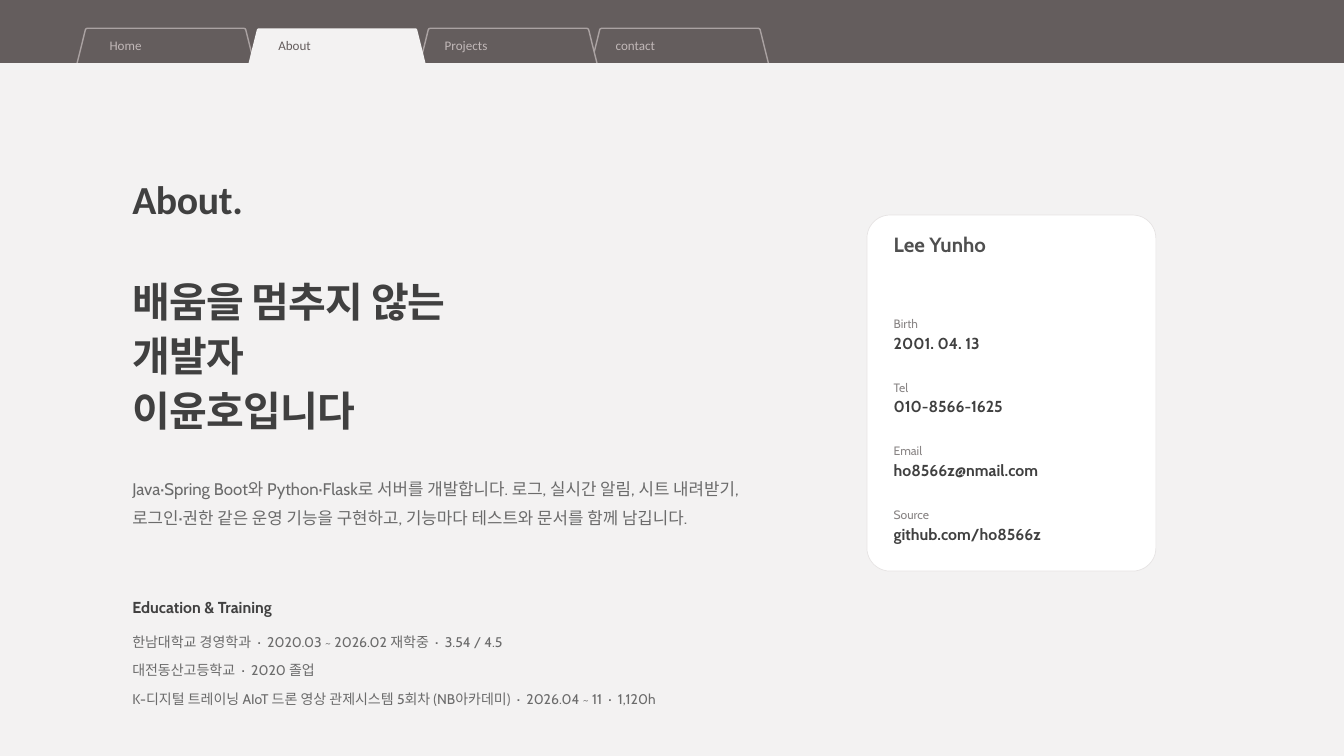
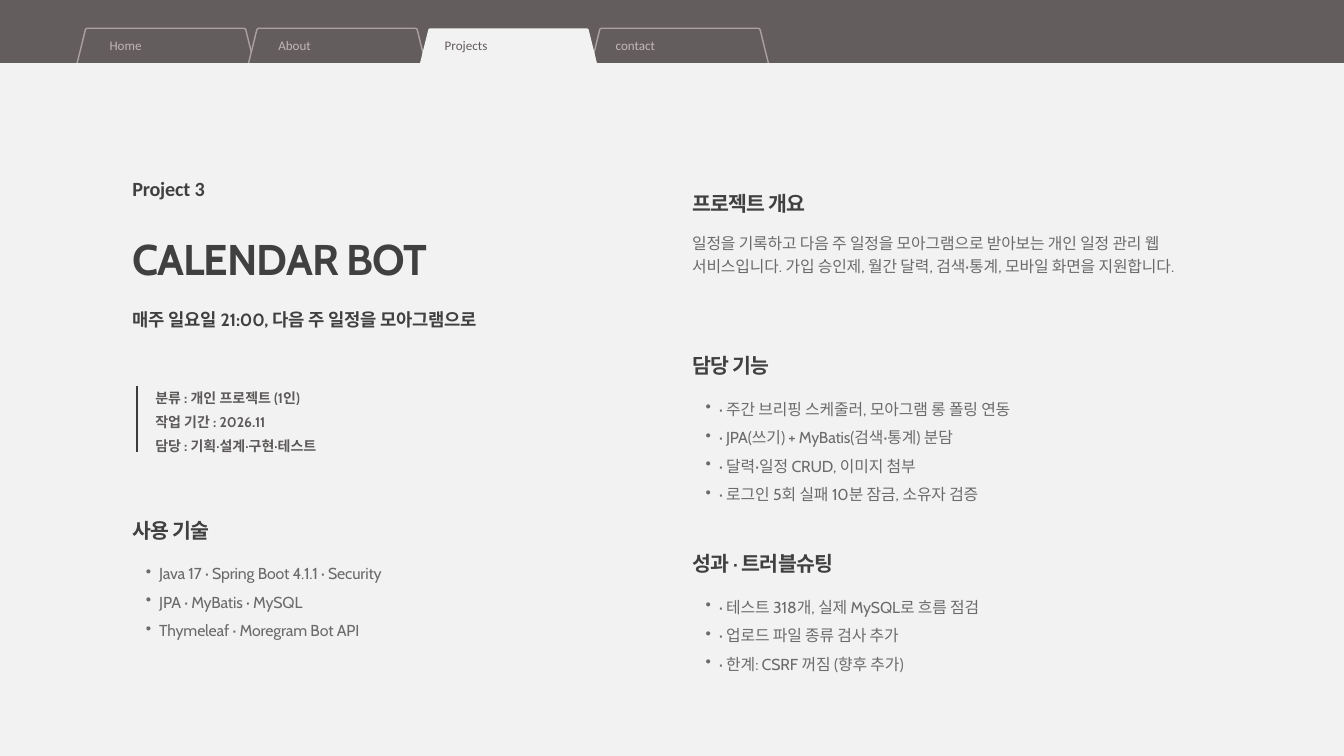
from lxml import etree
from pptx import Presentation
from pptx.dml.color import RGBColor
from pptx.enum import shapes, text
from pptx.oxml.ns import qn
from pptx.util import Cm, Pt

PAPER, BAND, EDGE, DIM = "F3F2F2", "645D5D", "AAA2A2", "C1B8B8"
DARK, BODY = "404040", "6B6B6B"
WIDE, LEFT, RIGHT = 50.8, 5, 26.16
BAR = 2.39
TABS = [("Home", 4.14), ("About", 10.52), ("Projects", 16.81), ("contact", 23.27)]
TAB_X, TAB_Y, TAB_W, TAB_STEP = 2.87, 1.07, 6.78, 6.48
# Left half of a tab's outline, from top to foot
SLANT = [(0.43, 0), (0.38, 0.02), (0.36, 0.05), (0, 1.5), (0, 1.53), (0.05, 1.55)]


def rgb(code):
    return RGBColor.from_string(code)


class Deck:
    def __init__(self):
        self.prs = Presentation()
        self.prs.slide_width, self.prs.slide_height = Cm(WIDE), Cm(28.58)
        back = self.prs.slide_master.background.fill
        back.solid()
        back.fore_color.rgb = rgb(PAPER)
        self.slide = None

    def page(self, tab):
        """Start a slide with the tab bar, the given tab being open."""
        self.slide = self.prs.slides.add_slide(self.prs.slide_layouts[5])
        self.block(0, 0, WIDE, BAR, BAND)
        for i in (3, 0, 1, 2):
            if i != tab:
                self.tab(i, BAND, EDGE)
        self.block(0, BAR, WIDE, 0.75, PAPER)
        self.tab(tab, PAPER)
        for i, (name, x) in enumerate(TABS):
            self.text(x, 1.42, 3.96, 0.58, name, 14, BAND if i == tab else DIM,
                      16.8, face="Calibri")

    def paint(self, shape, fill, edge=None, width=1.5):
        shape.shadow.inherit = False
        shape.fill.solid()
        shape.fill.fore_color.rgb = rgb(fill)
        if edge:
            shape.line.color.rgb = rgb(edge)
            shape.line.width = Pt(width)
        else:
            shape.line.fill.background()

    def block(self, x, y, w, h, fill):
        self.paint(self.slide.shapes.add_shape(
            shapes.MSO_SHAPE.RECTANGLE, Cm(x), Cm(y), Cm(w), Cm(h)), fill)

    def card(self, x, y, w, h):
        card = self.slide.shapes.add_shape(
            shapes.MSO_SHAPE.ROUNDED_RECTANGLE, Cm(x), Cm(y), Cm(w), Cm(h))
        card.adjustments[0] = 0.08
        self.paint(card, "FFFFFF", "E6E3E3", 0.75)

    def tab(self, i, fill, edge=None):
        x = TAB_X + i * TAB_STEP
        half = [(x + dx, TAB_Y + dy) for dx, dy in SLANT]
        other = [(2 * x + TAB_W - px, py) for px, py in reversed(half)]
        pts = [(Cm(px), Cm(py)) for px, py in half + other]
        pen = self.slide.shapes.build_freeform(*pts[0])
        pen.add_line_segments(pts[1:], close=True)
        self.paint(pen.convert_to_shape(), fill, edge)

    def rule(self, x, top, end):
        line = self.slide.shapes.add_connector(
            shapes.MSO_CONNECTOR.STRAIGHT, Cm(x), Cm(top), Cm(x), Cm(end))
        line.line.color.rgb = rgb("3D3D3D")
        line.line.width = Pt(2.25)
        etree.SubElement(line._element.spPr, qn("a:effectLst"))

    def title(self, x, y, w, h, *style, **more):
        box = self.slide.shapes.title
        box.left, box.top, box.width, box.height = Cm(x), Cm(y), Cm(w), Cm(h)
        self.fill(box.text_frame, *style, **more)

    def text(self, x, y, w, h, *style, **more):
        box = self.slide.shapes.add_textbox(Cm(x), Cm(y), Cm(w), Cm(h))
        self.fill(box.text_frame, *style, **more)

    def fill(self, frame, words, size, color, lead, bold=False, face="Cabin",
             gap=0, dots=False):
        """Set a frame's text; lead is the line height, gap the letter spacing."""
        frame.word_wrap = True
        frame.auto_size = text.MSO_AUTO_SIZE.SHAPE_TO_FIT_TEXT
        frame.vertical_anchor = text.MSO_ANCHOR.TOP
        frame.margin_left = frame.margin_right = 0
        frame.margin_top = frame.margin_bottom = 0
        frame.text = words
        for para in frame.paragraphs:
            para.alignment = text.PP_ALIGN.LEFT
            para.line_spacing = Pt(lead)
            props = para._p.get_or_add_pPr()
            if dots:
                para.level = 1
                props.set("marL", str(Cm(1.02)))
                props.set("indent", str(-Cm(0.51)))
                etree.SubElement(props, qn("a:buChar"), char="•")
            font = para.font
            font.name, font.size, font.bold = face, Pt(size), bold
            font.color.rgb = rgb(color)
            if gap:
                props.find(qn("a:defRPr")).set("spc", str(round(gap * 100)))

    def head(self, x, y, w, words):
        self.text(x, y, w, 1.14, words, 22, DARK, 33.9, bold=True, gap=-0.7)

    def items(self, x, y, w, h, words):
        self.text(x, y, w, h, words, 17, BODY, 30.6, gap=-0.2, dots=True)


def about(deck):
    deck.page(1)
    deck.title(LEFT, 6.96, 12.5, 1.52, "About.", 42.6, DARK, 41.3, bold=True,
               face="Calibri", gap=-0.4)
    deck.text(LEFT, 10.24, 15.72, 6.15, "배움을 멈추지 않는\n개발자\n이윤호입니다",
              44, DARK, 58.6, bold=True, gap=-0.9)
    deck.text(LEFT, 17.78, 24.64, 3.1,
              "Java·Spring Boot와 Python·Flask로 서버를 개발합니다. 로그, 실시간 알림, "
              "시트 내려받기, 로그인·권한 같은 운영 기능을 구현하고, 기능마다 테스트와 "
              "문서를 함께 남깁니다.", 18, BODY, 30.6)

    deck.card(32.77, 8.13, 10.92, 13.46)
    x = 33.78
    deck.text(x, 9.02, 9.14, 0.64, "Lee Yunho", 22, "4F4F4F", 18.8, bold=True)
    facts = [("Birth", "2001. 04. 13"), ("Tel", "010-8566-1625"),
             ("Email", "ho8566z@nmail.com"), ("Source", "github.com/ho8566z")]
    for i, (label, value) in enumerate(facts):
        y = 11.43 + i * 2.41
        deck.text(x, y, 9.4, 0.76, label, 13, "898585", 30.6)
        deck.text(x, y + 0.81, 9.4, 1.02, value, 17, DARK, 30.6, bold=True)

    deck.text(LEFT, 22.23, 25.4, 1.02, "Education & Training", 17, DARK, 30.6,
              bold=True)
    deck.text(LEFT, 23.5, 26.92, 3.05,
              "한남대학교 경영학과  ·  2020.03 ~ 2026.02 재학중  ·  3.54 / 4.5\n"
              "대전동산고등학교  ·  2020 졸업\n"
              "K-디지털 트레이닝 AIoT 드론 영상 관제시스템 5회차 (NB아카데미)"
              "  ·  2026.04 ~ 11  ·  1,120h", 15, BODY, 30.6)


def project(deck):
    deck.page(2)
    deck.text(LEFT, 6.86, 12.7, 0.76, "Project 3", 21.6, DARK, 20.9, bold=True,
              face="Calibri", gap=-0.2)
    deck.title(LEFT, 8.38, 18.29, 2.54, "CALENDAR BOT", 46, DARK, 67.2,
               bold=True, gap=-1)
    deck.text(LEFT, 11.56, 18.29, 2.29,
              "매주 일요일 21:00, 다음 주 일정을 모아그램으로", 19, DARK, 25.5,
              bold=True, gap=-0.2)
    deck.rule(5.18, 14.61, 17.09)
    deck.text(5.87, 14.43, 17.27, 3.05,
              "분류 : 개인 프로젝트 (1인)\n작업 기간 : 2026.11\n"
              "담당 : 기획·설계·구현·테스트", 15, "5C5959", 25.9, bold=True)
    deck.head(LEFT, 19.3, 12.7, "사용 기술")
    deck.items(LEFT, 20.96, 18.29, 4.57,
               "Java 17 · Spring Boot 4.1.1 · Security\nJPA · MyBatis · MySQL\n"
               "Thymeleaf · Moregram Bot API")

    w = 19.81
    deck.head(RIGHT, 6.96, w, "프로젝트 개요")
    deck.text(RIGHT, 8.64, w, 4.06,
              "일정을 기록하고 다음 주 일정을 모아그램으로 받아보는 개인 일정 관리 웹 "
              "서비스입니다. 가입 승인제, 월간 달력, 검색·통계, 모바일 화면을 "
              "지원합니다.", 17, BODY, 25.5, gap=-0.2)
    deck.head(RIGHT, 13.08, w, "담당 기능")
    deck.items(RIGHT, 14.73, w, 5.08,
               "· 주간 브리핑 스케줄러, 모아그램 롱 폴링 연동\n"
               "· JPA(쓰기) + MyBatis(검색·통계) 분담\n"
               "· 달력·일정 CRUD, 이미지 첨부\n"
               "· 로그인 5회 실패 10분 잠금, 소유자 검증")
    deck.head(RIGHT, 20.57, w, "성과 · 트러블슈팅")
    deck.items(RIGHT, 22.23, w, 3.81,
               "· 테스트 318개, 실제 MySQL로 흐름 점검\n"
               "· 업로드 파일 종류 검사 추가\n"
               "· 한계: CSRF 꺼짐 (향후 추가)")


def main():
    deck = Deck()
    about(deck)
    project(deck)
    deck.prs.save("out.pptx")


if __name__ == "__main__":
    main()
